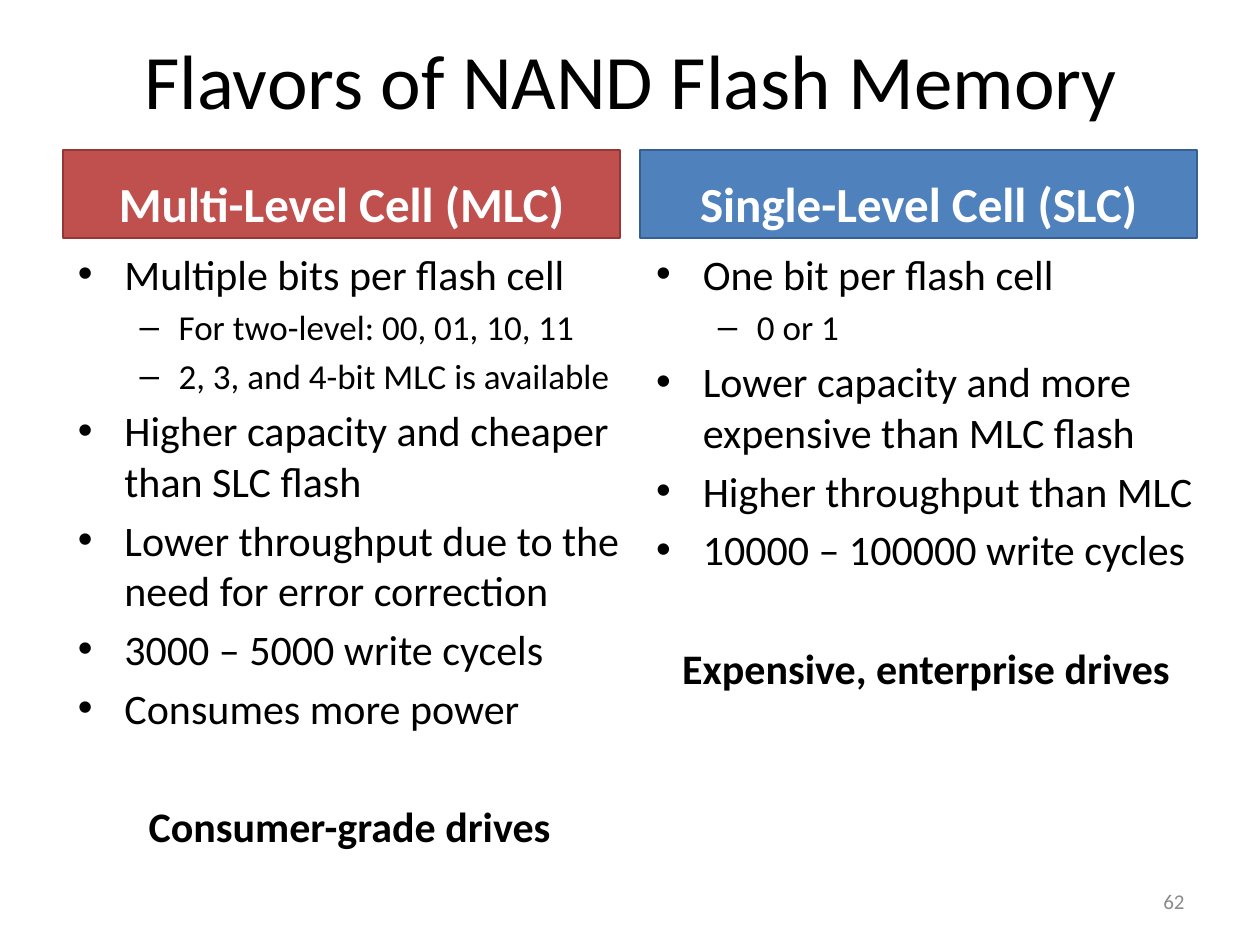
from dataclasses import dataclass

from lxml.etree import SubElement
from pptx import Presentation
from pptx.dml.color import RGBColor
from pptx.enum.shapes import MSO_SHAPE
from pptx.enum.text import MSO_ANCHOR, PP_ALIGN
from pptx.oxml.ns import qn
from pptx.util import Inches, Pt


@dataclass(frozen=True)
class Theme:
    face: str = "Calibri"
    ink: str = "000000"
    pale: str = "FFFFFF"
    gray: str = "8B8B8B"
    red: str = "C0504D"
    maroon: str = "953735"
    blue: str = "4F81BD"
    navy: str = "376092"
    title: int = 44
    head: int = 28
    body: int = 24
    sub: int = 20
    note: int = 12


@dataclass(frozen=True)
class Box:
    left: float
    top: float
    width: float
    height: float


@dataclass(frozen=True)
class Level:
    mark: str
    indent: float
    hang: float
    size: int
    gap: float


@dataclass(frozen=True)
class Column:
    head: str
    fill: str
    edge: str
    bar: float
    body: Box
    items: tuple[tuple[int, str], ...]
    close: str


THEME = Theme()
WIDE, HIGH = Inches(10), Inches(7.5)
LEVELS = (
    Level("•", 0.38, 0.37, THEME.body, 4.8),
    Level("–", 0.81, 0.31, THEME.sub, 4),
)
CLOSE_GAP = 38.9
COLUMNS = (
    Column(
        "Multi-Level Cell (MLC)", THEME.red, THEME.maroon, 5,
        Box(5.1, 25.6, 45.3, 68.27),
        (
            (0, "Multiple bits per flash cell"),
            (1, "For two-level: 00, 01, 10, 11"),
            (1, "2, 3, and 4-bit MLC is available"),
            (0, "Higher capacity and cheaper than SLC flash"),
            (0, "Lower throughput due to the need for error correction"),
            (0, "3000 – 5000 write cycels"),
            (0, "Consumes more power"),
        ),
        "Consumer-grade drives",
    ),
    Column(
        "Single-Level Cell (SLC)", THEME.blue, THEME.navy, 50.8,
        Box(51, 25.6, 45, 65.2),
        (
            (0, "One bit per flash cell"),
            (1, "0 or 1"),
            (0, "Lower capacity and more expensive than MLC flash"),
            (0, "Higher throughput than MLC"),
            (0, "10000 – 100000 write cycles"),
        ),
        "Expensive, enterprise drives",
    ),
)


def place(box: Box) -> tuple[int, int, int, int]:
    return (
        int(WIDE * box.left / 100), int(HIGH * box.top / 100),
        int(WIDE * box.width / 100), int(HIGH * box.height / 100),
    )


def style(para, size: int, color: str, bold: bool = False) -> None:
    font = para.font
    font.name, font.size, font.bold = THEME.face, Pt(size), bold
    font.color.rgb = RGBColor.from_string(color)


def setup(shape, anchor):
    frame = shape.text_frame
    frame.word_wrap = True
    frame.vertical_anchor = anchor
    return frame


def label(shape, text: str, size: int, color: str, align, anchor,
          bold: bool = False) -> None:
    para = setup(shape, anchor).paragraphs[0]
    para.text, para.alignment = text, align
    style(para, size, color, bold)


def bullet(para, rank: int, text: str, first: bool) -> None:
    level = LEVELS[rank]
    para.text, para.level = text, rank
    if not first:
        para.space_before = Pt(level.gap)
    props = para._p.get_or_add_pPr()
    props.set("marL", str(Inches(level.indent)))
    props.set("indent", str(-Inches(level.hang)))
    tint = SubElement(props, qn("a:buClr"))
    SubElement(tint, qn("a:srgbClr"), val=THEME.ink)
    SubElement(props, qn("a:buFont"), typeface="Arial")
    SubElement(props, qn("a:buChar"), char=level.mark)
    style(para, level.size, THEME.ink)


def draw(slide, col: Column) -> None:
    bar = slide.shapes.add_shape(
        MSO_SHAPE.RECTANGLE, *place(Box(col.bar, 15.87, 44.2, 9.33)))
    bar.shadow.inherit = False
    bar.fill.solid()
    bar.fill.fore_color.rgb = RGBColor.from_string(col.fill)
    bar.line.color.rgb = RGBColor.from_string(col.edge)
    bar.line.width = Pt(0)
    label(bar, col.head, THEME.head, THEME.pale, PP_ALIGN.CENTER,
          MSO_ANCHOR.BOTTOM, True)

    frame = setup(slide.shapes.add_textbox(*place(col.body)), MSO_ANCHOR.TOP)
    for i, (rank, text) in enumerate(col.items):
        para = frame.add_paragraph() if i else frame.paragraphs[0]
        bullet(para, rank, text, i == 0)
    last = frame.add_paragraph()
    last.text, last.alignment = col.close, PP_ALIGN.CENTER
    last.space_before = Pt(CLOSE_GAP)
    style(last, THEME.body, THEME.ink, True)


def main() -> None:
    deck = Presentation()
    deck.slide_width, deck.slide_height = WIDE, HIGH
    slide = deck.slides.add_slide(deck.slide_layouts[6])
    label(slide.shapes.add_textbox(*place(Box(5.1, 0, 90, 16.67))),
          "Flavors of NAND Flash Memory", THEME.title, THEME.ink,
          PP_ALIGN.CENTER, MSO_ANCHOR.MIDDLE)
    for col in COLUMNS:
        draw(slide, col)
    label(slide.shapes.add_textbox(*place(Box(71.7, 92.67, 23.3, 5.33))),
          "62", THEME.note, THEME.gray, PP_ALIGN.RIGHT, MSO_ANCHOR.MIDDLE)
    deck.save("out.pptx")


if __name__ == "__main__":
    main()
